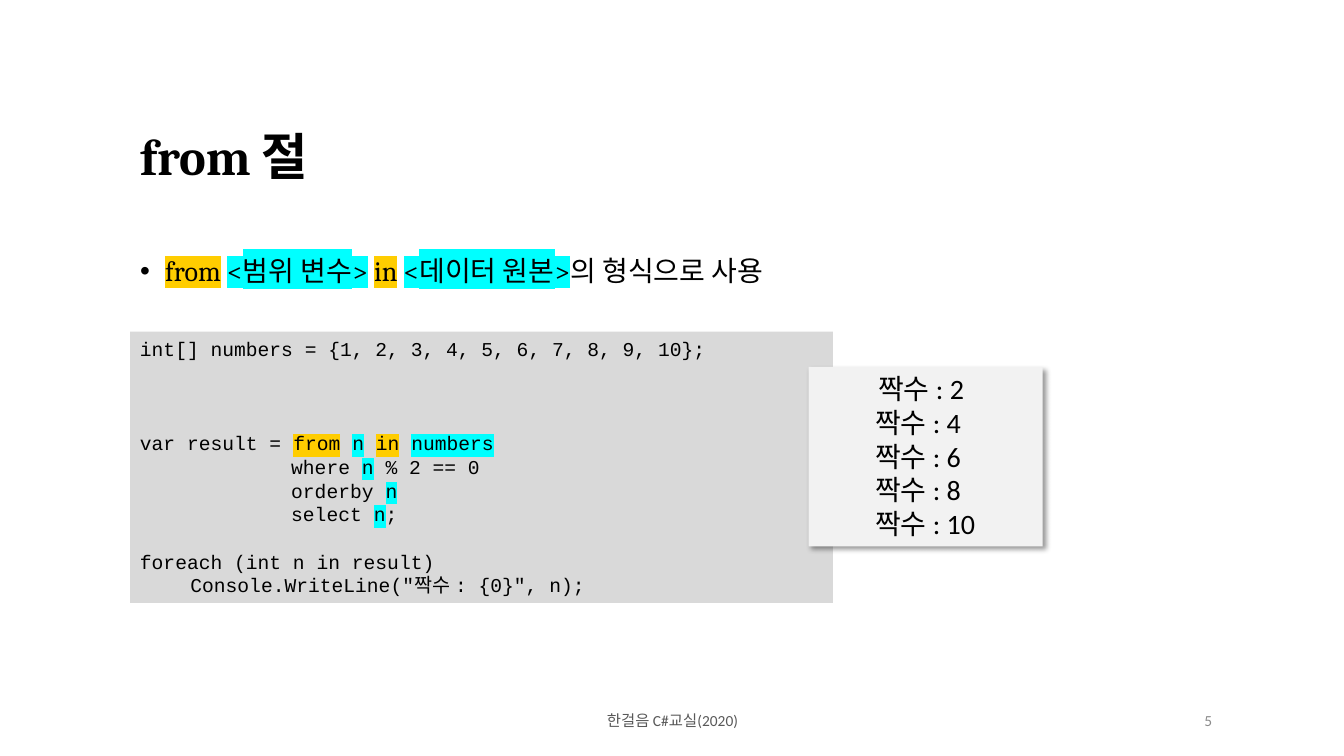
from lxml import etree
from pptx import Presentation
from pptx.dml.color import RGBColor
from pptx.enum.shapes import MSO_SHAPE
from pptx.enum.text import MSO_ANCHOR, PP_ALIGN
from pptx.oxml.ns import qn
from pptx.util import Inches, Pt

RECTANGLE = MSO_SHAPE.RECTANGLE
TOP, MIDDLE = MSO_ANCHOR.TOP, MSO_ANCHOR.MIDDLE
LEFT, CENTER, RIGHT = PP_ALIGN.LEFT, PP_ALIGN.CENTER, PP_ALIGN.RIGHT
TITLE_ONLY_LAYOUT = 5
COLORS = {
    "text": "000000",
    "footer": "595959",
    "number": "8C8C8C",
    "code": "D9D9D9",
    "result": "F2F2F2",
    "keyword": "FFCD00",
    "variable": "00FFFF",
}
HEADING, BODY, CODE = "Cambria", "Calibri", "Courier New"

# Code lines: left margin in inches, space before in points, runs with marks
CODE_LINES = [
    (0, 0, [("int[] numbers = {1, 2, 3, 4, 5, 6, 7, 8, 9, 10};", None)]),
    (0, 50.5, [("var result = ", None), ("from", "keyword"), (" ", None),
               ("n", "variable"), (" ", None), ("in", "keyword"),
               (" ", None), ("numbers", "variable")]),
    (1.5, 0, [("where ", None), ("n", "variable"), (" % 2 == 0", None)]),
    (1.5, 0, [("orderby ", None), ("n", "variable")]),
    (1.5, 0, [("select ", None), ("n", "variable"), (";", None)]),
    (0, 17, [("foreach (int n in result)", None)]),
    (0.5, 0, [('Console.WriteLine("짝수 : {0}", n);', None)]),
]
SYNTAX_RUNS = [
    ("from", "keyword"), (" ", None), ("<범위 변수>", "variable"),
    (" ", None), ("in", "keyword"), (" ", None),
    ("<데이터 원본>", "variable"), ("의 형식으로 사용", None),
]


def add_run(paragraph, text, font, size, color="text", bold=False, mark=None):
    run = paragraph.add_run()
    run.text = text
    run.font.name = font
    run.font.size = Pt(size)
    run.font.bold = bold
    run.font.color.rgb = RGBColor.from_string(COLORS[color])
    if mark:
        highlight = etree.Element(qn("a:highlight"))
        etree.SubElement(highlight, qn("a:srgbClr"), val=COLORS[mark])
        run.font._element.find(qn("a:solidFill")).addnext(highlight)


def set_indent(paragraph, margin, first_line=0):
    properties = paragraph._p.get_or_add_pPr()
    properties.set("marL", str(Inches(margin)))
    properties.set("indent", str(Inches(first_line)))
    return properties


def prepare_frame(shape, anchor=TOP, vertical_inset=0.05):
    frame = shape.text_frame
    frame.word_wrap = True
    frame.vertical_anchor = anchor
    frame.margin_left = frame.margin_right = Inches(0.1)
    frame.margin_top = frame.margin_bottom = Inches(vertical_inset)
    return frame


def next_paragraph(frame, index):
    paragraph = frame.paragraphs[0] if index == 0 else frame.add_paragraph()
    paragraph.alignment = LEFT
    return paragraph


def add_panel(slide, left, top, width, height, color):
    panel = slide.shapes.add_shape(
        RECTANGLE, Inches(left), Inches(top), Inches(width), Inches(height))
    panel.shadow.inherit = False
    panel.fill.solid()
    panel.fill.fore_color.rgb = RGBColor.from_string(COLORS[color])
    panel.line.fill.background()
    return panel


def add_soft_shadow(shape):
    effects = shape._element.spPr.find(qn("a:effectLst"))
    shadow = etree.SubElement(
        effects, qn("a:outerShdw"), blurRad=str(Pt(4)), dist=str(Pt(3)),
        dir=str(45 * 60000), algn="tl", rotWithShape="0")
    color = etree.SubElement(shadow, qn("a:srgbClr"), val=COLORS["text"])
    etree.SubElement(color, qn("a:alpha"), val="40000")


def add_title(slide, text):
    title = slide.shapes.title
    title.left, title.top = Inches(1.29), Inches(1.21)
    title.width, title.height = Inches(10.48), Inches(0.9)
    paragraph = next_paragraph(prepare_frame(title, vertical_inset=0.1), 0)
    paragraph.line_spacing = 0.9
    paragraph.space_before = Pt(6)
    add_run(paragraph, text, HEADING, 36, bold=True)


def add_syntax(slide):
    box = slide.shapes.add_textbox(
        Inches(1.29), Inches(2.45), Inches(10.48), Inches(0.6))
    paragraph = next_paragraph(prepare_frame(box, vertical_inset=0.1), 0)
    paragraph.line_spacing = 0.9
    properties = set_indent(paragraph, 0.25, -0.25)
    etree.SubElement(properties, qn("a:buFont"), typeface="Arial")
    etree.SubElement(properties, qn("a:buChar"), char="•")
    for text, mark in SYNTAX_RUNS:
        add_run(paragraph, text, HEADING, 20, mark=mark)


def add_code(slide):
    frame = prepare_frame(add_panel(slide, 1.29, 3.29, 6.97, 2.69, "code"))
    for index, (margin, space, runs) in enumerate(CODE_LINES):
        paragraph = next_paragraph(frame, index)
        paragraph.line_spacing = Pt(16.9)
        paragraph.space_before = Pt(space)
        set_indent(paragraph, margin)
        for text, mark in runs:
            add_run(paragraph, text, CODE, 14, mark=mark)


def add_result(slide):
    panel = add_panel(slide, 8.02, 3.64, 2.32, 1.78, "result")
    add_soft_shadow(panel)
    frame = prepare_frame(panel)
    for index, number in enumerate(range(2, 11, 2)):
        paragraph = next_paragraph(frame, index)
        set_indent(paragraph, 0.59 if index == 0 else 0.56)
        add_run(paragraph, f"짝수 : {number}", BODY, 20)


def add_footer(slide, left, width, text, alignment, color):
    box = slide.shapes.add_textbox(
        Inches(left), Inches(6.95), Inches(width), Inches(0.4))
    paragraph = next_paragraph(prepare_frame(box, MIDDLE), 0)
    paragraph.alignment = alignment
    add_run(paragraph, text, BODY, 11, color)


def main():
    presentation = Presentation()
    presentation.slide_width = Inches(13.33)
    presentation.slide_height = Inches(7.5)
    layout = presentation.slide_layouts[TITLE_ONLY_LAYOUT]
    slide = presentation.slides.add_slide(layout)

    # Heading and syntax rule
    add_title(slide, "from 절")
    add_syntax(slide)

    # Example and its output
    add_code(slide)
    add_result(slide)

    # Footer
    add_footer(slide, 4.42, 4.5, "한걸음 C#교실(2020)", CENTER, "footer")
    add_footer(slide, 9.42, 2.7, "5", RIGHT, "number")

    presentation.save("out.pptx")


if __name__ == "__main__":
    main()
